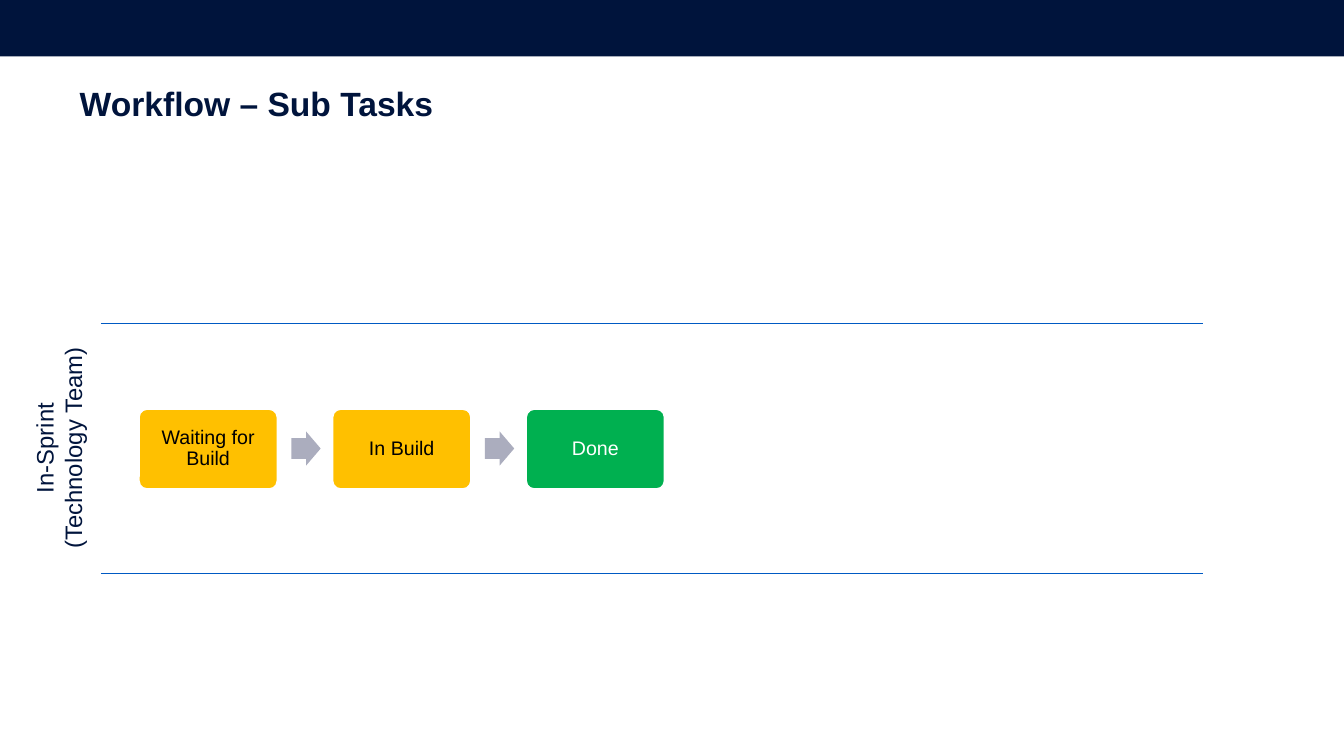
import pptx
import pptx.dml.color
import pptx.enum.shapes
import pptx.enum.text
import pptx.oxml.ns
import pptx.util
from pptx.util import Inches, Pt

TITLE = "Workflow – Sub Tasks"
LANE = "In-Sprint\v(Technology Team)"
NAVY, BLUE, GREY, WHITE = "00143C", "005AC3", "ABADBE", "FFFFFF"
STEPS = [
    ("Waiting for Build", "FFC000", "000000"),
    ("In Build", "FFC000", "000000"),
    ("Done", "00B050", WHITE),
]
RULES = (3.21, 5.69)
LEFT, TOP, WIDE, HIGH, PITCH = 1.38, 4.06, 1.37, 0.79, 1.92
SHAPE = pptx.enum.shapes.MSO_SHAPE
ALIGN = pptx.enum.text.PP_ALIGN
ANCHOR = pptx.enum.text.MSO_ANCHOR


def rgb(code):
    return pptx.dml.color.RGBColor.from_string(code)


def write(shape, text, size, color, bold=False, align=ALIGN.LEFT,
          anchor=ANCHOR.TOP, inset=0, spacing=None, wrap=True):
    frame = shape.text_frame
    frame.word_wrap = wrap
    frame.auto_size = pptx.enum.text.MSO_AUTO_SIZE.NONE
    frame.vertical_anchor = anchor
    frame.margin_left = frame.margin_right = Inches(inset)
    frame.margin_top = frame.margin_bottom = Inches(inset)
    para = frame.paragraphs[0]
    para.text = text
    para.alignment = align
    para.line_spacing = spacing
    for run in para.runs:
        run.font.name = "Arial"
        run.font.size = Pt(size)
        run.font.bold = bold
        run.font.color.rgb = rgb(color)


def block(kind, x, y, w, h, fill, line=None, adjust=()):
    shape = slide.shapes.add_shape(
        kind, Inches(x), Inches(y), Inches(w), Inches(h))
    shape.shadow.inherit = False
    shape.fill.solid()
    shape.fill.fore_color.rgb = rgb(fill)
    if line:
        shape.line.color.rgb = rgb(line)
        shape.line.width = Pt(1)
    else:
        shape.line.fill.background()
    for i, value in enumerate(adjust):
        shape.adjustments[i] = value
    return shape


def rule(y):
    line = slide.shapes.add_connector(
        pptx.enum.shapes.MSO_CONNECTOR.STRAIGHT,
        Inches(1), Inches(y), Inches(11.93), Inches(y))
    line.line.color.rgb = rgb(BLUE)
    line.line.width = Pt(1)
    props = line._element.spPr
    props.append(props.makeelement(pptx.oxml.ns.qn("a:effectLst"), {}))


deck = pptx.Presentation()
deck.slide_width, deck.slide_height = Inches(13.33), Inches(7.5)
slide = deck.slides.add_slide(deck.slide_layouts[5])

block(SHAPE.RECTANGLE, 0, 0, 13.33, 0.56, NAVY)

title = slide.shapes.title
title.left, title.top = Inches(0.79), Inches(0.87)
title.width, title.height = Inches(11), Inches(0.98)
write(title, TITLE, 24, NAVY, bold=True, spacing=0.9)

for y in RULES:
    rule(y)

lane = slide.shapes.add_textbox(
    Inches(-0.41), Inches(4.09), Inches(2.12), Inches(0.71))
lane.rotation = 270
write(lane, LANE, 17, NAVY, align=ALIGN.CENTER, wrap=False)

for i, (name, fill, ink) in enumerate(STEPS):
    x = LEFT + i * PITCH
    if i:
        block(SHAPE.RIGHT_ARROW, x - 0.41, TOP + 0.22, 0.29, 0.34, GREY,
              adjust=(0.6, 0.5))
    step = block(SHAPE.ROUNDED_RECTANGLE, x, TOP, WIDE, HIGH, fill,
                 line=WHITE, adjust=(0.1,))
    write(step, name, 14, ink, align=ALIGN.CENTER, anchor=ANCHOR.MIDDLE,
          inset=0.06, spacing=0.9)

deck.save("out.pptx")
